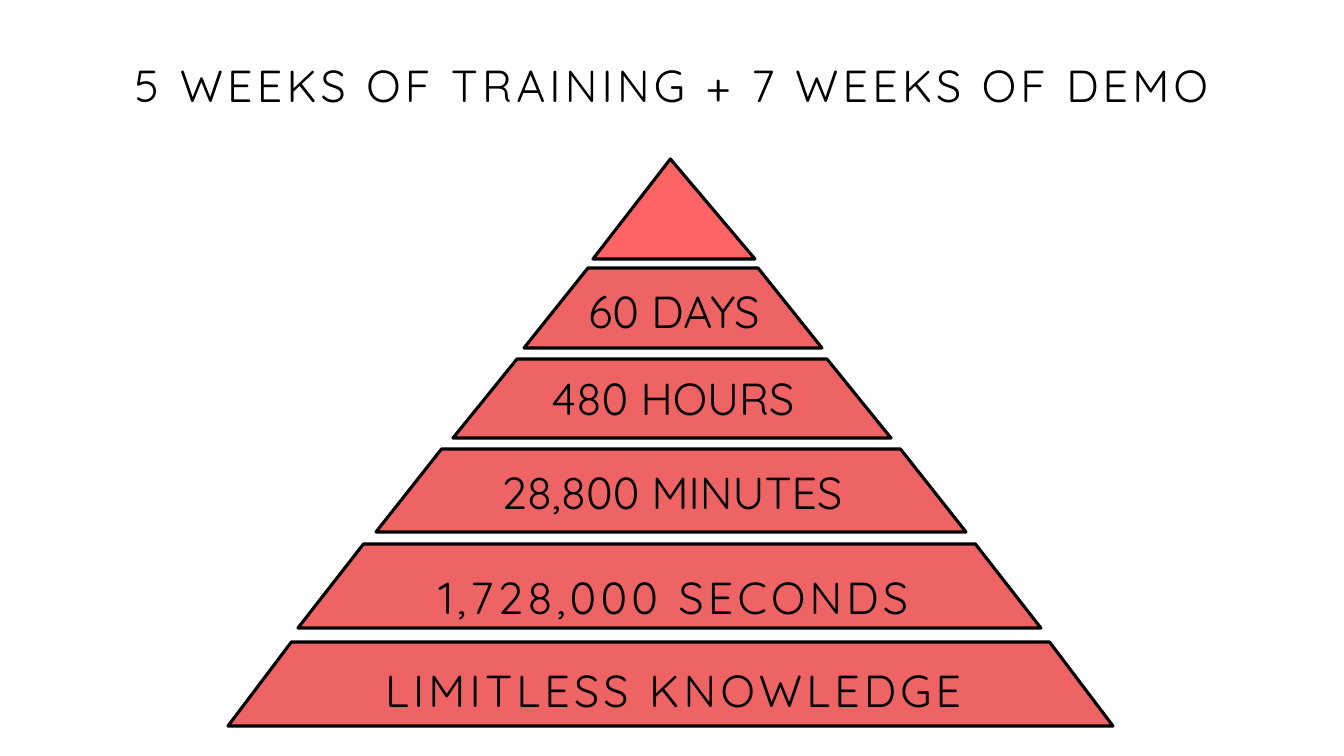
"""Build a slide with a labelled pyramid of training time."""
from dataclasses import dataclass

from pptx import Presentation
from pptx import util as u
from pptx.dml.color import RGBColor
from pptx.enum import shapes, text

PX = u.Inches(1) / 100.8


@dataclass(frozen=True)
class Theme:
    """Hold the colours, font and type sizes of the slide."""
    ink: RGBColor = RGBColor(0x00, 0x00, 0x00)
    tier: RGBColor = RGBColor(0xEE, 0x64, 0x64)
    peak: RGBColor = RGBColor(0xFF, 0x64, 0x64)
    font: str = "Quicksand"
    size: u.Pt = u.Pt(32)
    outline: u.Pt = u.Pt(2.25)
    tracking: int = 300
    leading: float = 1.1


THEME = Theme()
TITLE = "5 WEEKS OF TRAINING + 7 WEEKS OF DEMO"
TITLE_BOX = (0, 24, 1344, 169)
TITLE_LIFT = 54
PYRAMID_BOX = (228, 159, 885, 567)
PEAK = (365, 0, 162, 100, 0.478)
TIERS = [
    ("60 DAYS", (296, 109, 298, 80, 0.8), (324, 120, 244, 65), False),
    ("480 HOURS", (225, 200, 438, 79, 0.81), (296, 207, 298, 65), False),
    ("28,800 MINUTES", (148, 290, 590, 83, 0.79), (225, 301, 438, 65), False),
    ("1,728,000 SECONDS", (70, 385, 743, 84, 0.78), (-48, 365, 987, 139), True),
    ("LIMITLESS KNOWLEDGE", (0, 483, 885, 84, 0.755), (-48, 458, 987, 139), True),
]


def emu(*lengths):
    """Turn pixel lengths into EMU."""
    return [u.Emu(round(length * PX)) for length in lengths]


def write_line(shape, words, spaced):
    """Write one centred line, letter-spaced and without insets if asked."""
    frame = shape.text_frame
    frame.text = words
    frame.word_wrap = True
    frame.auto_size = text.MSO_AUTO_SIZE.NONE
    paragraph = frame.paragraphs[0]
    paragraph.alignment = text.PP_ALIGN.CENTER
    font = paragraph.runs[0].font
    font.name, font.size, font.color.rgb = THEME.font, THEME.size, THEME.ink
    if spaced:
        frame.margin_left = frame.margin_right = 0
        frame.margin_top = frame.margin_bottom = 0
        frame.vertical_anchor = text.MSO_ANCHOR.MIDDLE
        paragraph.line_spacing = THEME.leading
        paragraph.runs[0]._r.get_or_add_rPr().set("spc", str(THEME.tracking))


def add_title(slide, box):
    """Place and format the title placeholder in the box."""
    title = slide.shapes.title
    title.left, title.top, title.width, title.height = emu(*box)
    write_line(title, TITLE, spaced=True)
    title.text_frame.margin_bottom = emu(TITLE_LIFT)[0]


def add_block(slide, kind, box, adjustment, fill):
    """Add one outlined block of the pyramid."""
    shape = slide.shapes.add_shape(kind, *emu(*box))
    shape.adjustments[0] = adjustment
    shape.shadow.inherit = False
    shape.fill.solid()
    shape.fill.fore_color.rgb = fill
    shape.line.color.rgb = THEME.ink
    shape.line.width = THEME.outline


def add_pyramid(slide, box):
    """Draw the peak and the labelled tiers relative to the box."""
    left, top = box[:2]

    def place(x, y, width, height):
        """Move a box from pyramid to slide coordinates."""
        return left + x, top + y, width, height

    triangle = shapes.MSO_SHAPE.ISOSCELES_TRIANGLE
    add_block(slide, triangle, place(*PEAK[:4]), PEAK[4], THEME.peak)
    for words, (*tier_box, slant), label_box, spaced in TIERS:
        add_block(slide, shapes.MSO_SHAPE.TRAPEZOID, place(*tier_box), slant, THEME.tier)
        label = slide.shapes.add_textbox(*emu(*place(*label_box)))
        write_line(label, words, spaced)


def main():
    """Build and save the presentation."""
    presentation = Presentation()
    presentation.slide_width, presentation.slide_height = emu(1344, 756)
    slide = presentation.slides.add_slide(presentation.slide_layouts[5])
    add_title(slide, TITLE_BOX)
    add_pyramid(slide, PYRAMID_BOX)
    presentation.save("out.pptx")


if __name__ == "__main__":
    main()
